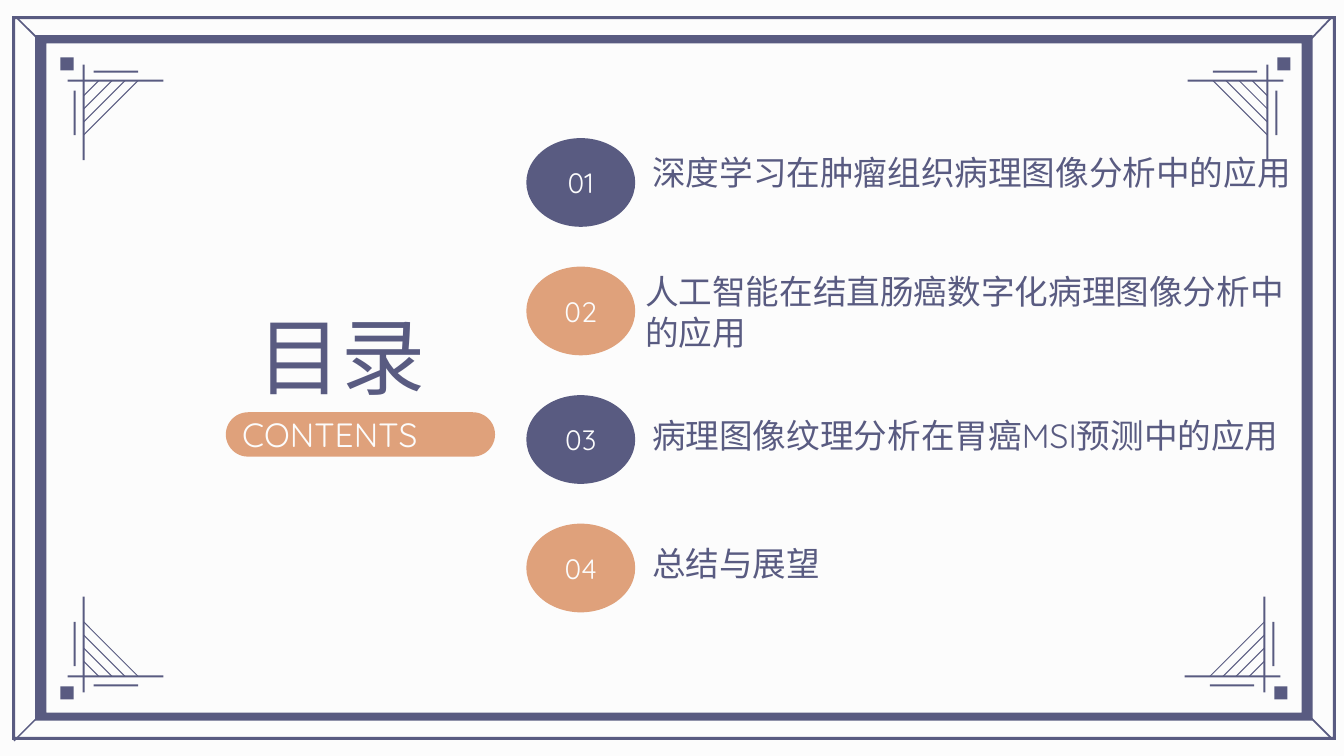
from pptx import Presentation
from pptx.dml.color import RGBColor
from pptx.enum.shapes import MSO_CONNECTOR, MSO_SHAPE
from pptx.enum.text import MSO_ANCHOR, MSO_AUTO_SIZE, PP_ALIGN
from pptx.oxml.ns import qn
from pptx.util import Inches, Pt
from lxml import etree

NAVY, ORANGE, PAPER = "595B81", "DFA17B", "FCFCFC"
FONT = "Quicksand"
RECT, OVAL, PILL = MSO_SHAPE.RECTANGLE, MSO_SHAPE.OVAL, MSO_SHAPE.ROUNDED_RECTANGLE
STRAIGHT = MSO_CONNECTOR.STRAIGHT
TOP, MIDDLE = MSO_ANCHOR.TOP, MSO_ANCHOR.MIDDLE
LEFT, CENTER, JUSTIFY = PP_ALIGN.LEFT, PP_ALIGN.CENTER, PP_ALIGN.JUSTIFY


def paint(sp, color):
    sp.shadow.inherit = False
    sp.fill.solid()
    sp.fill.fore_color.rgb = RGBColor.from_string(color)
    sp.line.fill.background()


def write(sp, text, size, color, align, anchor, wrap=True):
    tf = sp.text_frame
    tf.text = text
    tf.word_wrap = wrap
    tf.auto_size = MSO_AUTO_SIZE.NONE
    tf.vertical_anchor = anchor
    p = tf.paragraphs[0]
    p.alignment = align
    font = p.runs[0].font
    font.name = FONT
    font.size = Pt(size)
    font.color.rgb = RGBColor.from_string(color)


prs = Presentation()
prs.slide_width, prs.slide_height = Inches(13.33), Inches(7.5)
s = prs.slides.add_slide(prs.slide_layouts[5])
s.background.fill.solid()
s.background.fill.fore_color.rgb = RGBColor.from_string(PAPER)

bars = [
    (-0.16, -0.01, 0.95, 0.02),
    (-0.01, -0.16, 0.02, 0.95),
    (-0.23, -0.23, 0.13, 0.13),
    (-0.1, 0.1, 0.02, 0.44),
    (0.1, -0.1, 0.44, 0.02),
]
corners = [(0.83, 6.71, 1, -1), (0.83, 0.8, 1, 1),
           (12.57, 0.8, -1, 1), (12.54, 6.71, -1, -1)]
lines = [(0.14, 7.35, 0.4, 7.09, 1), (0.16, 0.17, 0.38, 0.39, 1.25),
         (13.21, 0.17, 12.99, 0.4, 1.25), (13.21, 7.33, 12.99, 7.11, 1.25)]

for cx, cy, dx, dy in corners:
    for x, y, w, h in bars:
        left = cx + x if dx > 0 else cx - x - w
        top = cy + y if dy > 0 else cy - y - h
        sp = s.shapes.add_shape(RECT, Inches(left), Inches(top), Inches(w), Inches(h))
        paint(sp, NAVY)
    for i in range(4):
        reach = 0.15 + 0.13 * i
        lines.append((cx, cy + dy * reach, cx + dx * reach, cy, 0.75))

for x1, y1, x2, y2, width in lines:
    ln = s.shapes.add_connector(STRAIGHT, Inches(x1), Inches(y1), Inches(x2), Inches(y2))
    ln.line.color.rgb = RGBColor.from_string(NAVY)
    ln.line.width = Pt(width)
    etree.SubElement(ln._element.spPr, qn("a:effectLst"))

for l, t, r, b, bar_w, bar_h in [(0.12, 0.16, 13.25, 7.34, 0.03, 0.03),
                                 (0.35, 0.35, 13.02, 7.15, 0.11, 0.08)]:
    fb = s.shapes.build_freeform(Inches(r), Inches(t), scale=1.0)
    fb.add_line_segments([(Inches(x), Inches(y)) for x, y in [(r, b), (l, b), (l, t)]])
    l, t, r, b = l + bar_w, t + bar_h, r - bar_w, b - bar_h
    fb.move_to(Inches(r), Inches(b))
    fb.add_line_segments([(Inches(x), Inches(y)) for x, y in [(r, t), (l, t), (l, b)]])
    paint(fb.convert_to_shape(), NAVY)

title = s.shapes.title
title.left, title.top = Inches(2.45), Inches(2.97)
title.width, title.height = Inches(2.24), Inches(1.11)
write(title, "目录", 60, NAVY, JUSTIFY, TOP)

pill = s.shapes.add_shape(PILL, Inches(2.24), Inches(4.09), Inches(2.67), Inches(0.44))
pill.adjustments[0] = 0.5
paint(pill, ORANGE)
write(pill, "CONTENTS", 24, PAPER, JUSTIFY, MIDDLE)

entries = [
    ("深度学习在肿瘤组织病理图像分析中的应用", 6.37, 1.46, 7.18, 0.52, False),
    ("人工智能在结直肠癌数字化病理图像分析中的应用", 6.3, 2.64, 6.75, 1.19, True),
    ("病理图像纹理分析在胃癌MSI预测中的应用", 6.37, 4.07, 6.46, 0.91, True),
    ("总结与展望", 6.37, 5.34, 3.67, 0.5, True),
]
for i, (text, x, y, w, h, wrap) in enumerate(entries):
    badge = s.shapes.add_shape(OVAL, Inches(5.22), Inches(1.37 + 1.275 * i),
                               Inches(1.08), Inches(0.88))
    paint(badge, (NAVY, ORANGE)[i % 2])
    write(badge, f"{i + 1:02d}", 20, PAPER, CENTER, MIDDLE)
    box = s.shapes.add_textbox(Inches(x), Inches(y), Inches(w), Inches(h))
    write(box, text, 24, NAVY, LEFT, TOP, wrap)

prs.save("out.pptx")
